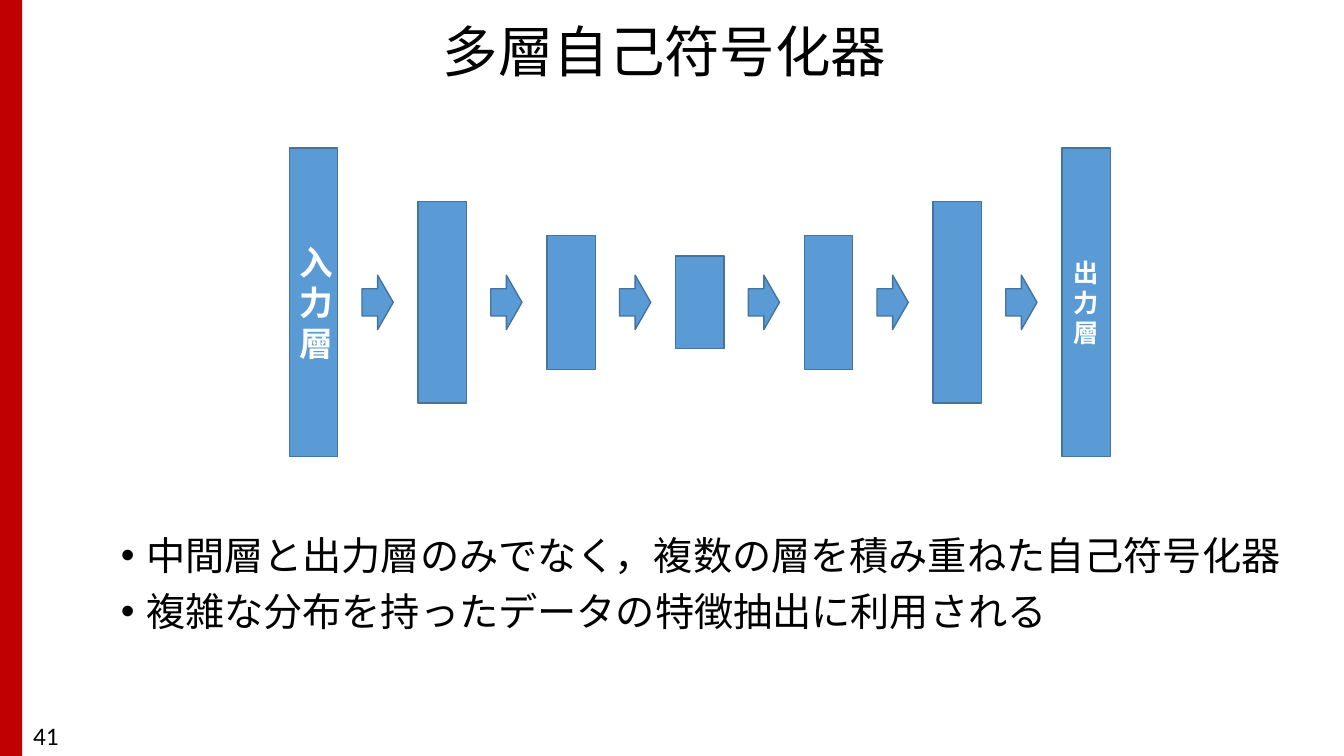
import pptx
import pptx.util
import pptx.dml.color
import pptx.enum.shapes
import pptx.enum.text
import pptx.oxml
import pptx.oxml.ns

Inches = pptx.util.Inches
Pt = pptx.util.Pt
SHAPE = pptx.enum.shapes.MSO_SHAPE
ALIGN = pptx.enum.text.PP_ALIGN
ANCHOR = pptx.enum.text.MSO_ANCHOR

JAPANESE = "Noto Sans CJK JP"
BLACK, WHITE, RED = "000000", "FFFFFF", "C00000"
LAYER_FILL, LAYER_LINE = "5B9BD5", "43739E"

# Network geometry in inches
FIRST_LEFT, PITCH, CENTRE_Y = 2.87, 1.277, 3.0
LAYER_WIDTH = 0.48
LAYER_HEIGHTS = [3.06, 2.0, 1.33, 0.92, 1.33, 2.0, 3.06]
ARROW_OFFSET, ARROW_WIDTH, ARROW_HEIGHT = 0.72, 0.31, 0.54


def colour(hex_string):
    return pptx.dml.color.RGBColor.from_string(hex_string)


def format_runs(paragraph, size, font=JAPANESE, text_colour=BLACK, bold=False):
    for run in paragraph.runs:
        run.font.size = Pt(size)
        run.font.bold = bold
        run.font.color.rgb = colour(text_colour)
        run.font.name = font
        # East Asian typeface
        east_asian = pptx.oxml.parse_xml(
            f'<a:ea {pptx.oxml.ns.nsdecls("a")} typeface="{font}"/>')
        run.font._element.append(east_asian)


def add_block(slide, preset, left, top, width, height, fill, line=None):
    block = slide.shapes.add_shape(
        preset, Inches(left), Inches(top), Inches(width), Inches(height))
    block.shadow.inherit = False
    block.fill.solid()
    block.fill.fore_color.rgb = colour(fill)
    if line:
        block.line.color.rgb = colour(line)
        block.line.width = Pt(1)
    else:
        block.line.fill.background()
    return block


def add_network_part(slide, preset, left, width, height):
    return add_block(slide, preset, left, CENTRE_Y - height / 2, width, height,
                     LAYER_FILL, LAYER_LINE)


def label_layer(layer, text, size):
    frame = layer.text_frame
    frame.text = text
    frame.word_wrap = True
    frame.vertical_anchor = ANCHOR.MIDDLE
    frame.paragraphs[0].alignment = ALIGN.CENTER
    format_runs(frame.paragraphs[0], size, text_colour=WHITE, bold=True)


def add_network(slide):
    layers = []
    for index, height in enumerate(LAYER_HEIGHTS):
        left = FIRST_LEFT + index * PITCH
        layers.append(add_network_part(
            slide, SHAPE.RECTANGLE, left, LAYER_WIDTH, height))
        if index < len(LAYER_HEIGHTS) - 1:
            add_network_part(slide, SHAPE.RIGHT_ARROW, left + ARROW_OFFSET,
                             ARROW_WIDTH, ARROW_HEIGHT)
    label_layer(layers[0], "入力層", 24)
    label_layer(layers[-1], "出力層", 18)


def set_title(slide, text):
    title = slide.shapes.title
    title.left, title.top = Inches(4.29), Inches(0.14)
    title.width, title.height = Inches(5.08), Inches(0.8)
    frame = title.text_frame
    frame.text = text
    frame.auto_size = pptx.enum.text.MSO_AUTO_SIZE.NONE
    frame.vertical_anchor = ANCHOR.MIDDLE
    heading = frame.paragraphs[0]
    heading.alignment = ALIGN.LEFT
    heading.line_spacing = 0.9
    format_runs(heading, 39.6)


def add_text_frame(slide, left, top, width, height, text):
    box = slide.shapes.add_textbox(
        Inches(left), Inches(top), Inches(width), Inches(height))
    box.text_frame.word_wrap = True
    box.text_frame.text = text
    return box.text_frame


def add_bullets(slide, points):
    frame = add_text_frame(slide, 1.1, 5.27, 11.82, 2.06, "\n".join(points))
    for paragraph in frame.paragraphs:
        paragraph.line_spacing = 0.9
        paragraph.space_before = Pt(10)
        format_runs(paragraph, 28)
        properties = paragraph._p.get_or_add_pPr()
        properties.set("marL", str(Inches(0.25)))
        properties.set("indent", str(Inches(-0.25)))
        for bullet in ('buFont typeface="Arial"', 'buChar char="•"'):
            tag, attribute = bullet.split(" ")
            properties.append(pptx.oxml.parse_xml(
                f'<a:{tag} {pptx.oxml.ns.nsdecls("a")} {attribute}/>'))


def main():
    presentation = pptx.Presentation()
    presentation.slide_width = Inches(13.33)
    presentation.slide_height = Inches(7.5)
    slide = presentation.slides.add_slide(presentation.slide_layouts[5])

    # Side band and title
    add_block(slide, SHAPE.RECTANGLE, 0, 0, 0.22, 7.5, RED)
    set_title(slide, "多層自己符号化器")

    # Layers from input to output
    add_network(slide)

    # Explanation
    add_bullets(slide, [
        "中間層と出力層のみでなく，複数の層を積み重ねた自己符号化器",
        "複雑な分布を持ったデータの特徴抽出に利用される",
    ])

    # Page number
    page_number = add_text_frame(slide, 0.23, 7.1, 3, 0.4, "41")
    format_runs(page_number.paragraphs[0], 18, font="Calibri")

    presentation.save("out.pptx")


if __name__ == "__main__":
    main()
